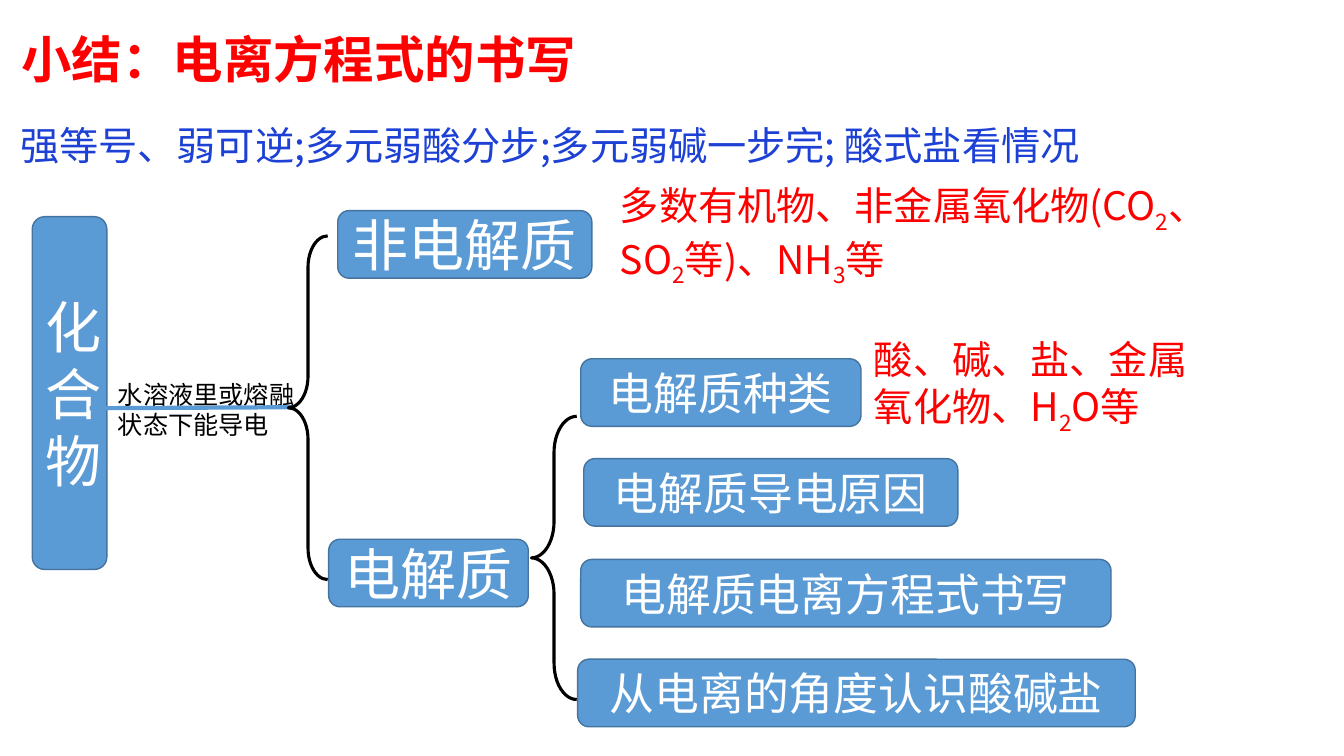
from lxml.etree import SubElement
from pptx import Presentation
from pptx.dml.color import RGBColor
from pptx.enum.shapes import MSO_CONNECTOR as Connector, MSO_SHAPE as Shape
from pptx.enum.text import MSO_ANCHOR as Anchor, PP_ALIGN as Align
from pptx.oxml.ns import qn
from pptx.util import Inches, Pt

RED = RGBColor(0xFF, 0x00, 0x00)
BLUE = RGBColor(0x1D, 0x41, 0xD5)
BOX_FILL = RGBColor(0x5B, 0x9B, 0xD5)
BOX_LINE = RGBColor(0x43, 0x73, 0x9E)
WHITE = RGBColor(0xFF, 0xFF, 0xFF)
BLACK = RGBColor(0x00, 0x00, 0x00)
TITLE_FONT = "Noto Sans CJK SC"
BODY_FONT = "Noto Sans CJK JP"


def add_run(paragraph, text, size, color, font=BODY_FONT, bold=False, subscript=False):
    run = paragraph.add_run()
    run.text = text
    run.font.size = Pt(size)
    run.font.bold = bold
    run.font.color.rgb = color
    run.font.name = font
    properties = run._r.get_or_add_rPr()
    SubElement(properties, qn("a:ea")).set("typeface", font)
    if subscript:
        properties.set("baseline", "-25000")


def add_text_box(left, top, width, height):
    text_box = slide.shapes.add_textbox(Inches(left), Inches(top), Inches(width), Inches(height))
    text_box.text_frame.word_wrap = True
    return text_box


presentation = Presentation()
presentation.slide_width = Inches(13.33)
presentation.slide_height = Inches(7.5)
slide = presentation.slides.add_slide(presentation.slide_layouts[6])

heading = add_text_box(0, 0.2, 11.82, 1.54).text_frame
title = heading.paragraphs[0]
title.line_spacing = 1.05
add_run(title, " 小结：电离方程式的书写", 36, RED, TITLE_FONT, bold=True)
rule = heading.add_paragraph()
rule.line_spacing = 1.5
add_run(rule, " ", 32, BLUE, TITLE_FONT, bold=True)
add_run(rule, "强等号、弱可逆;多元弱酸分步;多元弱碱一步完; 酸式盐看情况", 28, BLUE, TITLE_FONT)

boxes = [
    ("化合物", 0.32, 2.15, 0.74, 3.5, 40),
    ("非电解质", 3.35, 2.09, 2.52, 0.67, 40),
    ("电解质", 3.26, 5.35, 1.98, 0.67, 40),
    ("电解质种类", 5.76, 3.56, 2.78, 0.67, 32),
    ("电解质导电原因", 5.79, 4.55, 3.71, 0.67, 32),
    ("电解质电离方程式书写", 5.76, 5.55, 5.26, 0.67, 32),
    ("从电离的角度认识酸碱盐", 5.73, 6.54, 5.53, 0.67, 32),
]
for label, left, top, width, height, size in boxes:
    box = slide.shapes.add_shape(
        Shape.ROUNDED_RECTANGLE, Inches(left), Inches(top), Inches(width), Inches(height))
    box.shadow.inherit = False
    box.fill.solid()
    box.fill.fore_color.rgb = BOX_FILL
    box.line.color.rgb = BOX_LINE
    box.line.width = Pt(1)
    box.text_frame.word_wrap = True
    box.text_frame.vertical_anchor = Anchor.MIDDLE
    paragraph = box.text_frame.paragraphs[0]
    paragraph.alignment = Align.CENTER
    add_run(paragraph, label, size, WHITE)

condition = add_text_box(1.07, 3.71, 2.02, 0.71)
add_run(condition.text_frame.paragraphs[0], "水溶液里或熔融状态下能导电", 18, BLACK)

stem = slide.shapes.add_connector(
    Connector.STRAIGHT, Inches(0.89), Inches(4.05), Inches(2.93), Inches(4.04))
stem.line.color.rgb = BOX_FILL
stem.line.width = Pt(3)
SubElement(stem._element.spPr, qn("a:effectLst"))

for left, top, width, height in [(2.86, 2.34, 0.39, 3.41), (5.27, 4.13, 0.45, 2.81)]:
    brace = slide.shapes.add_shape(
        Shape.LEFT_BRACE, Inches(left), Inches(top), Inches(width), Inches(height))
    brace.shadow.inherit = False
    brace.adjustments[0] = 0.8
    brace.fill.background()
    brace.line.color.rgb = BLACK
    brace.line.width = Pt(2.25)

examples = [
    (6.05, 1.75, 6.03, ["多数有机物、非金属氧化物(CO", "2", "、SO", "2", "等)、NH", "3", "等"]),
    (8.57, 3.28, 3.4, ["酸、碱、盐、金属氧化物、H", "2", "O等"]),
]
for left, top, width, parts in examples:
    example = add_text_box(left, top, width, 1.04)
    for part in parts:
        add_run(example.text_frame.paragraphs[0], part, 28, RED, subscript=part.isdigit())

example.fill.solid()
example.fill.fore_color.rgb = WHITE

presentation.save("out.pptx")
